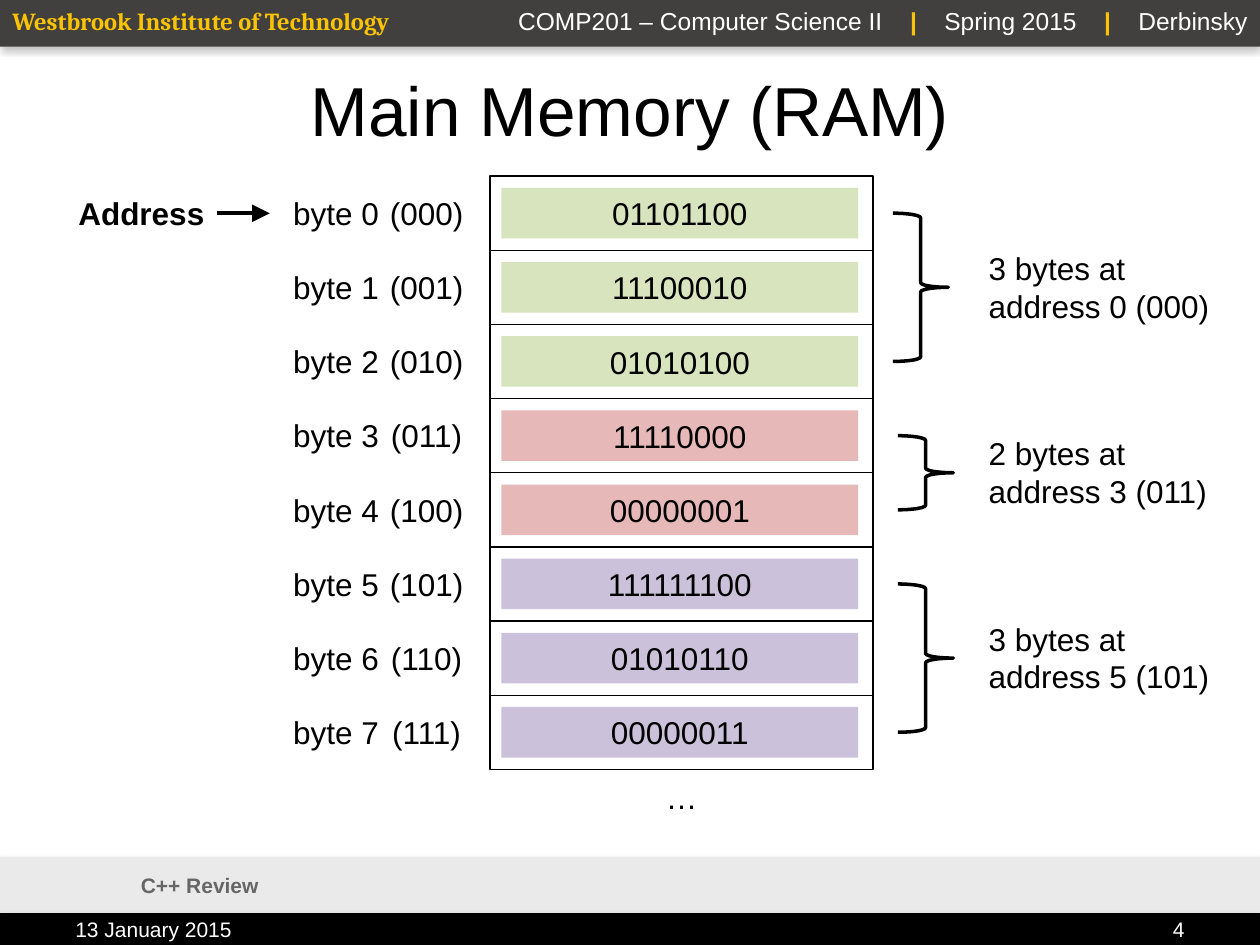
"""Build the main memory slide."""
import collections
import dataclasses

import pptx
import pptx.dml.color
import pptx.enum.shapes
import pptx.enum.text
import pptx.oxml
import pptx.oxml.ns
import pptx.util

Cm = pptx.util.Cm
Pt = pptx.util.Pt
SHAPE = pptx.enum.shapes.MSO_SHAPE
LINK = pptx.enum.shapes.MSO_CONNECTOR
ALIGN = pptx.enum.text.PP_ALIGN
ANCHOR = pptx.enum.text.MSO_ANCHOR
NS = pptx.oxml.ns.nsdecls("a")

Box = collections.namedtuple("Box", "x y w h")
Block = collections.namedtuple("Block", "color bytes note brace")


@dataclasses.dataclass(frozen=True)
class Theme:
    """Hold colours, fonts and sizes."""
    ink: str = "000000"
    paper: str = "FFFFFF"
    dark: str = "42403E"
    gold: str = "FAC303"
    pale: str = "EAEAEA"
    gray: str = "666666"
    green: str = "D7E4BD"
    red: str = "E6B9B8"
    violet: str = "CCC1DA"
    sans: str = "Arial"
    serif: str = "Cambria"
    title: float = 39.6
    body: float = 18
    head: float = 14
    foot: float = 12
    gap: float = 11.7
    thin: float = 0.75
    thick: float = 2


THEME = Theme()
BLOCKS = [
    Block(THEME.green, ["01101100", "11100010", "01010100"],
          "3 bytes at address 0 (000)", 18.0),
    Block(THEME.red, ["11110000", "00000001"],
          "2 bytes at address 3 (011)", 18.1),
    Block(THEME.violet, ["111111100", "01010110", "00000011"],
          "3 bytes at address 5 (101)", 18.1),
]
COUNT = sum(len(block.bytes) for block in BLOCKS)


def rgb(code):
    """Turn a hex code into a colour."""
    return pptx.dml.color.RGBColor.from_string(code)


def place(box):
    """Turn a box in centimetres into lengths."""
    return [Cm(n) for n in box]


def style(run, size, color=THEME.ink, bold=False, font=THEME.sans):
    """Format one run."""
    run.font.size = Pt(size)
    run.font.name = font
    run.font.bold = bold
    run.font.color.rgb = rgb(color)


def fill_text(frame, text, align, size=THEME.body, **look):
    """Set and format one paragraph."""
    frame.word_wrap = True
    line = frame.paragraphs[0]
    line.text = text
    line.alignment = align
    style(line.runs[0], size, **look)


def label(shapes, box, text, align=ALIGN.LEFT, anchor=ANCHOR.TOP, **look):
    """Add a text box."""
    frame = shapes.add_textbox(*place(box)).text_frame
    fill_text(frame, text, align, **look)
    frame.vertical_anchor = anchor


def form(shapes, kind, box, fill=None, line=None, width=THEME.thin):
    """Add a flat preset shape."""
    shape = shapes.add_shape(kind, *place(box))
    shape.shadow.inherit = False
    if fill:
        shape.fill.solid()
        shape.fill.fore_color.rgb = rgb(fill)
    else:
        shape.fill.background()
    if line:
        shape.line.color.rgb = rgb(line)
        shape.line.width = Pt(width)
    else:
        shape.line.fill.background()
    return shape


def rule(shapes, kind, start, end, width):
    """Add a flat connector."""
    link = shapes.add_connector(kind, *place(start + end))
    link.line.color.rgb = rgb(THEME.ink)
    link.line.width = Pt(width)
    link._element.spPr.append(pptx.oxml.parse_xml(f"<a:effectLst {NS}/>"))
    return link


def band(shapes, box, color):
    """Add a bar with a soft shadow."""
    bar = form(shapes, SHAPE.RECTANGLE, box, color)
    glow = bar._element.spPr.find(pptx.oxml.ns.qn("a:effectLst"))
    glow.append(pptx.oxml.parse_xml(
        f'<a:outerShdw {NS} blurRad="{Pt(4)}" dist="{Pt(2)}" dir="5400000" rotWithShape="0">'
        f'<a:srgbClr val="{THEME.gray}"><a:alpha val="40000"/></a:srgbClr></a:outerShdw>'))


def header(shapes, box):
    """Draw the top bar with school and course."""
    band(shapes, box, THEME.dark)
    split, tall = 9.55, 0.86
    label(shapes, Box(box.x, box.y, split, tall), "Westbrook Institute of Technology",
          size=THEME.head, color=THEME.gold, bold=True, font=THEME.serif)
    side = Box(box.x + split, box.y, box.w - split, tall)
    frame = shapes.add_textbox(*place(side)).text_frame
    frame.word_wrap = True
    line = frame.paragraphs[0]
    line.alignment = ALIGN.RIGHT
    parts = ["COMP201 – Computer Science II", " ", "|", " ", "Spring 2015",
             " ", "|", " ", "Derbinsky"]
    for part in parts:
        run = line.add_run()
        run.text = part
        mark = part == "|"
        style(run, THEME.head, THEME.gold if mark else THEME.paper, mark)
        if part == " ":
            run.font._element.set("spc", f"{THEME.gap * 100:.0f}")


def footer(shapes, box):
    """Draw the two bottom bars with topic, date and page."""
    tall, low = 1.14, 0.64
    base = box.y + tall
    band(shapes, Box(box.x, box.y, box.w, tall), THEME.pale)
    band(shapes, Box(box.x, base, box.w, low), THEME.ink)
    look = dict(anchor=ANCHOR.MIDDLE, size=THEME.foot)
    label(shapes, Box(box.x + 1.27, base, 6.38, low), "13 January 2015",
          color=THEME.paper, **look)
    label(shapes, Box(box.x + 2.59, box.y + 0.15, 21.54, 0.84), "C++ Review",
          color=THEME.gray, bold=True, **look)
    label(shapes, Box(box.x + 21.11, base, 3.02, low), "4", ALIGN.RIGHT,
          color=THEME.paper, **look)


def heading(slide, box):
    """Move and format the title."""
    title = slide.shapes.title
    title.left, title.top, title.width, title.height = place(box)
    fill_text(title.text_frame, "Main Memory (RAM)", ALIGN.CENTER, THEME.title)
    title.text_frame.vertical_anchor = ANCHOR.MIDDLE


def memory(shapes, box):
    """Draw the memory grid, its labels, bytes and notes."""
    step, tall = box.h / COUNT, 1.02
    grid = shapes.add_group_shape().shapes
    form(grid, SHAPE.RECTANGLE, box, line=THEME.ink)
    for row in range(1, COUNT):
        y = box.y + row * step
        rule(grid, LINK.STRAIGHT, (box.x, y), (box.x + box.w, y), THEME.thin)
    label(grid, Box(box.x, box.y + box.h + 0.05, box.w, 2.57), "…", ALIGN.CENTER)

    row = 0
    for block in BLOCKS:
        mid = box.y + (row + len(block.bytes) / 2) * step
        for bits in block.bytes:
            y = box.y + (row + 0.5) * step - tall / 2
            cell = form(shapes, SHAPE.RECTANGLE, Box(box.x + 0.23, y, 7.19, tall), block.color)
            fill_text(cell.text_frame, bits, ALIGN.CENTER)
            label(shapes, Box(box.x - 4.45, y, 2.46, tall), f"byte {row}", ALIGN.RIGHT)
            label(shapes, Box(box.x - 2.51, y, 2.46, tall), f"({row:03b})", ALIGN.CENTER)
            row += 1
        span = (len(block.bytes) - 1) * step
        note = shapes.add_group_shape().shapes
        form(note, SHAPE.RIGHT_BRACE, Box(block.brace, mid - span / 2, 1.12, span),
             line=THEME.ink, width=THEME.thick)
        label(note, Box(box.x + 9.8, mid - 0.9, 5.03, 1.8), block.note)


def pointer(shapes, box):
    """Draw the address label and its arrow."""
    label(shapes, box, "Address", ALIGN.RIGHT, bold=True)
    x, y = box.x + box.w, box.y + box.h / 2
    arrow = rule(shapes, LINK.CURVE, (x + 1.07, y), (x, y), THEME.thick)
    arrow.line._get_or_add_ln().append(
        pptx.oxml.parse_xml(f'<a:headEnd {NS} type="triangle" w="lg" len="lg"/>'))


def main():
    """Build and save the deck."""
    deck = pptx.Presentation()
    deck.slide_width, deck.slide_height = Cm(25.4), Cm(19.05)
    slide = deck.slides.add_slide(deck.slide_layouts[5])
    header(slide.shapes, Box(0, 0, 25.4, 0.94))
    heading(slide, Box(1.27, 1.35, 22.86, 1.68))
    footer(slide.shapes, Box(0, 17.27, 25.4, 1.78))
    memory(slide.shapes, Box(9.88, 3.55, 7.72, 11.96))
    pointer(slide.shapes, Box(1.27, 3.79, 3.1, 1.02))
    deck.save("out.pptx")


if __name__ == "__main__":
    main()
